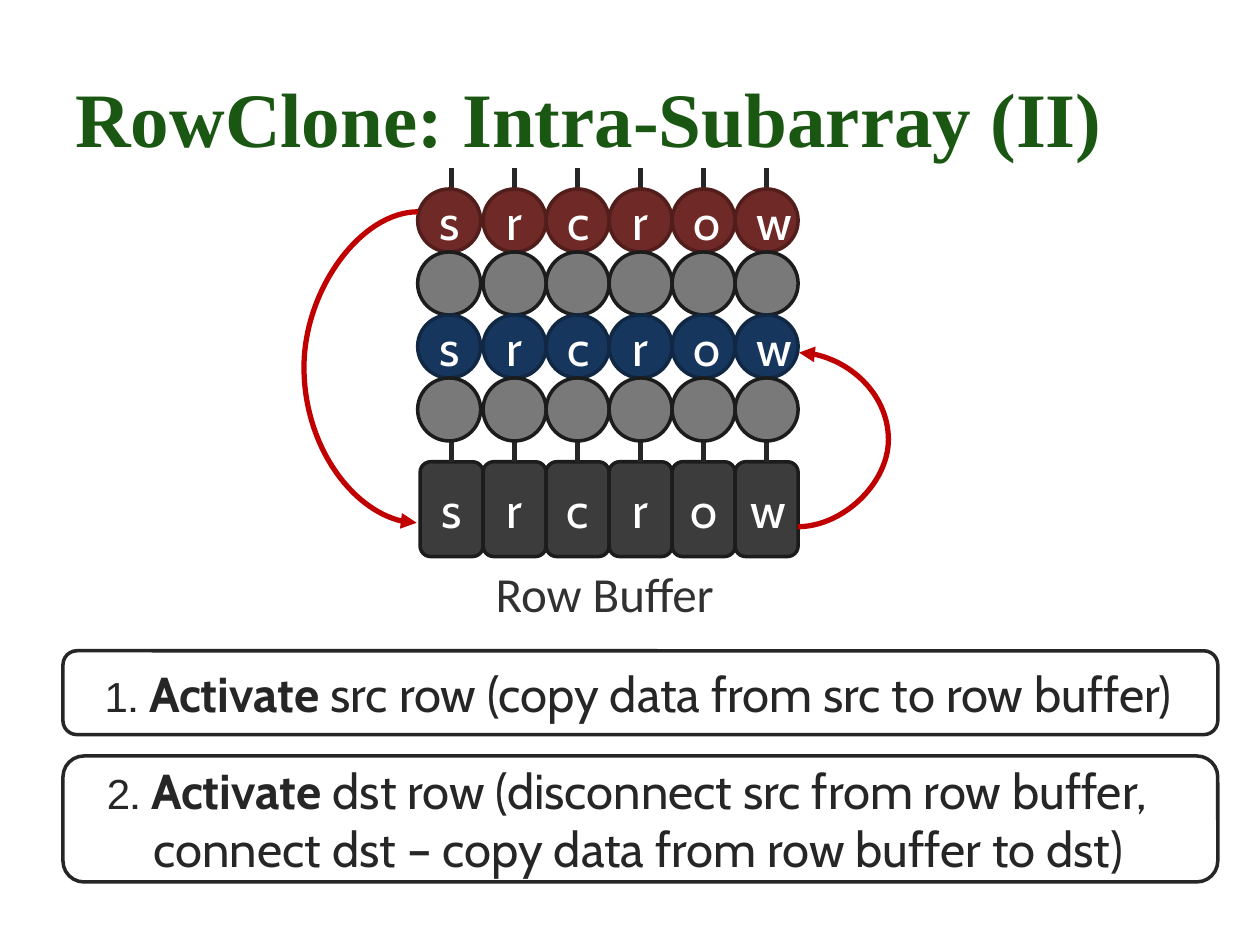
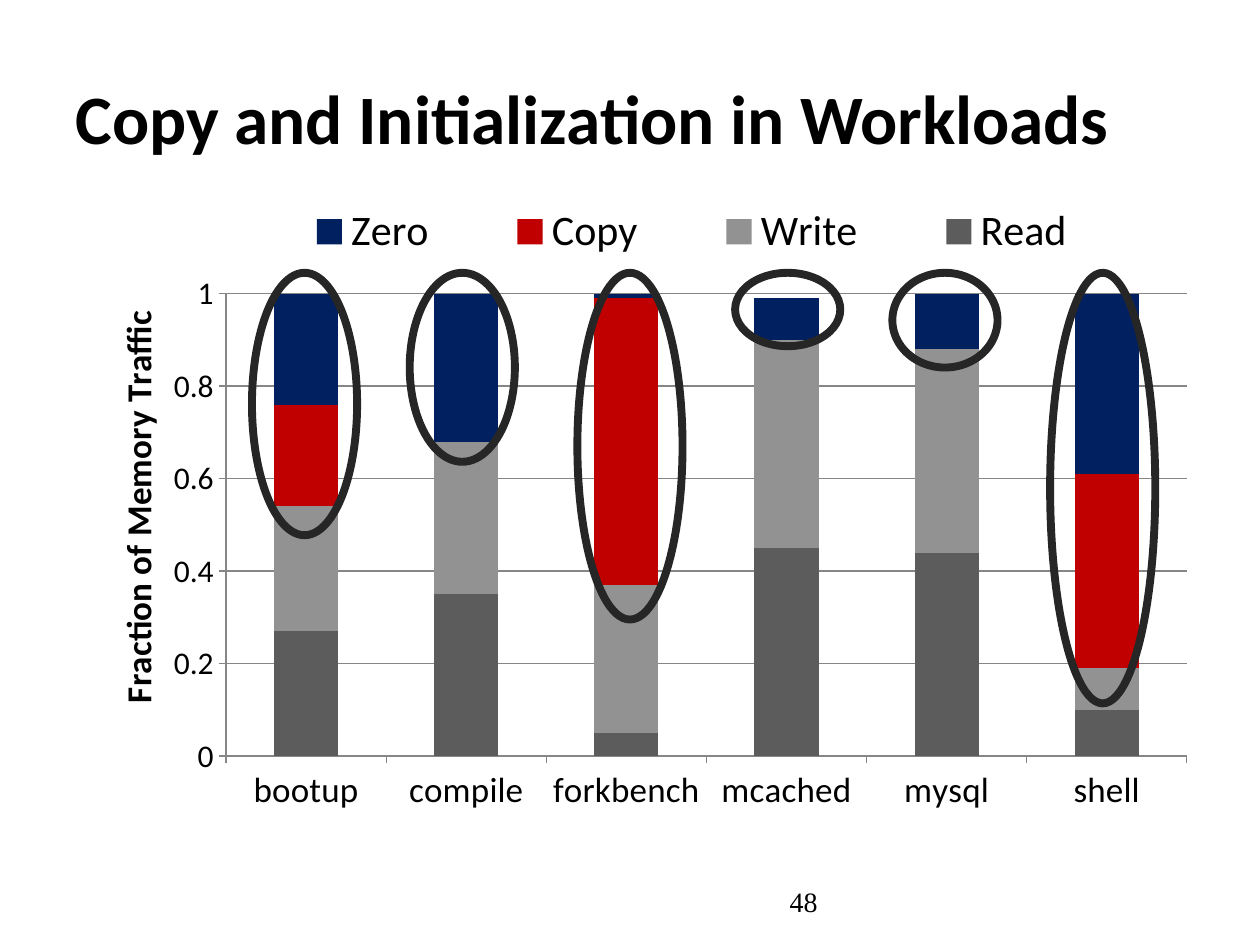
from dataclasses import dataclass

from lxml.etree import SubElement
from pptx import Presentation
from pptx.chart.data import CategoryChartData
from pptx.dml.color import RGBColor
from pptx.enum.chart import XL_CHART_TYPE, XL_LEGEND_POSITION, XL_TICK_MARK
from pptx.enum.shapes import MSO_CONNECTOR, MSO_SHAPE
from pptx.enum.text import MSO_ANCHOR, PP_ALIGN
from pptx.oxml import parse_xml
from pptx.oxml.ns import nsdecls, qn
from pptx.util import Cm, Pt


@dataclass(frozen=True)
class Theme:
    green: str = "1A5712"
    black: str = "000000"
    white: str = "FFFFFF"
    ink: str = "262626"
    label: str = "313131"
    outline: str = "1C1C1C"
    buffer: str = "3C3C3C"
    arrow: str = "C00000"
    grid: str = "868686"
    serif: str = "Times New Roman"
    sans: str = "Calibri"
    cabin: str = "Cabin"
    arial: str = "Arial"
    body: float = 28
    step_number: float = 24
    page_number: float = 16
    legend: float = 24
    axis: float = 20
    ticks: float = 18


THEME = Theme()

# Slide 1: title, memory cells, steps
CLONE_TITLE = ("RowClone: Intra-Subarray (II)", THEME.serif, 44, THEME.green)
LETTERS = "srcrow"
CELL_ROWS = [  # text, fill, line
    (LETTERS, "6F2926", "521E1C"),
    ("", "797979", THEME.outline),
    (LETTERS, "17365D", "112845"),
    ("", "797979", THEME.outline),
]
COPY_ARROWS = [  # start, end, sideways reach
    ((8.43, 4.27), (8.4, 10.54), 2.3),
    ((16.08, 10.62), (16.11, 7.11), 1.83),
]
STEPS = [  # number, text, top, height, hanging indent
    ("1", "src row (copy data from src to row buffer)", 13.12, 1.69, 0),
    ("2", "dst row (disconnect src from row buffer, connect dst – copy data "
          "from row buffer to dst)", 15.24, 2.54, 0.95),
]

# Slide 2: title, chart, marked bars
WORKLOAD_TITLE = ("Copy and Initialization in Workloads", THEME.sans, 39.6, THEME.black)
WORKLOADS = ["bootup", "compile", "forkbench", "mcached", "mysql", "shell"]
TRAFFIC = [
    ("Read", "5C5C5C", (0.27, 0.35, 0.05, 0.45, 0.44, 0.1)),
    ("Write", "929292", (0.27, 0.33, 0.32, 0.45, 0.44, 0.09)),
    ("Copy", "C00000", (0.22, 0, 0.62, 0, 0, 0.42)),
    ("Zero", "002060", (0.24, 0.32, 0.01, 0.09, 0.12, 0.39)),
]
BAR_MARKS = [  # left, height
    (5.08, 5.29), (8.26, 3.81), (11.64, 6.99),
    (14.82, 1.48), (17.99, 1.91), (21.17, 8.68),
]


def apply(target, values):
    for name, value in values.items():
        setattr(target, name, value)


def set_font(font, name, size, color, bold=False):
    apply(font, {"name": name, "size": Pt(size), "bold": bold})
    font.color.rgb = RGBColor.from_string(color)


def set_line(line, color, width):
    line.color.rgb = RGBColor.from_string(color)
    line.width = Pt(width)


def add_run(paragraph, text, *font):
    run = paragraph.add_run()
    run.text = text
    set_font(run.font, *font)


def add_text(slide, box, text, *font, align=PP_ALIGN.LEFT, wrap=True):
    frame = slide.shapes.add_textbox(*map(Cm, box)).text_frame
    apply(frame, {"word_wrap": wrap, "vertical_anchor": MSO_ANCHOR.MIDDLE})
    frame.paragraphs[0].alignment = align
    add_run(frame.paragraphs[0], text, *font)


def add_title(slide, title):
    add_text(slide, (1.27, 0.76, 22.86, 3.18), *title, True)


def add_box(slide, kind, box, fill, line, width=2):
    shape = slide.shapes.add_shape(kind, *map(Cm, box))
    shape.shadow.inherit = False
    if fill:
        shape.fill.solid()
        shape.fill.fore_color.rgb = RGBColor.from_string(fill)
    else:
        shape.fill.background()
    set_line(shape.line, line, width)
    return shape


def add_cell(slide, kind, box, letter, fill, line):
    shape = add_box(slide, kind, box, fill, line)
    if letter:
        paragraph = shape.text_frame.paragraphs[0]
        paragraph.alignment = PP_ALIGN.CENTER
        add_run(paragraph, letter, THEME.cabin, THEME.body, THEME.white)
    return shape


def add_line(slide, kind, start, end, color):
    connector = slide.shapes.add_connector(kind, *map(Cm, start + end))
    set_line(connector.line, color, 3)
    SubElement(connector._element.spPr, qn("a:effectLst"))
    return connector


def add_copy_arrow(slide, start, end, reach):
    """Curve that swings out sideways by reach and returns to nearly the same x."""
    arrow = add_line(slide, MSO_CONNECTOR.CURVE, start, end, THEME.arrow)
    SubElement(arrow.line._get_or_add_ln(), qn("a:tailEnd"), type="triangle")
    geometry = arrow._element.spPr.find(qn("a:prstGeom"))
    guides = geometry.find(qn("a:avLst"))
    if guides is None:
        guides = SubElement(geometry, qn("a:avLst"))
    bend = round(reach / abs(end[0] - start[0]) * 100000)
    SubElement(guides, qn("a:gd"), name="adj1", fmla=f"val {bend}")


def add_memory_array(slide):
    pitch, left, top, buffer_top = 1.27, 8.47, 3.81, 9.31
    for column, letter in enumerate(LETTERS):
        x = left + column * pitch
        buffer = add_cell(slide, MSO_SHAPE.ROUNDED_RECTANGLE,
                          (x, buffer_top, pitch, 1.91), letter, THEME.buffer, THEME.outline)
        middle = x + pitch / 2
        bitline = add_line(slide, MSO_CONNECTOR.STRAIGHT,
                           (middle, buffer_top), (middle, 3.39), THEME.ink)
        bitline.begin_connect(buffer, 0)
    for row, (letters, fill, line) in enumerate(CELL_ROWS):
        for column in range(len(LETTERS)):
            x = left + column * pitch - (0 if column else 0.05)
            add_cell(slide, MSO_SHAPE.OVAL, (x, top + row * pitch, pitch, pitch),
                     letters[column:column + 1], fill, line)


def add_step(slide, number, text, top, height, indent):
    shape = add_box(slide, MSO_SHAPE.ROUNDED_RECTANGLE,
                    (1.27, top, 23.28, height), THEME.white, THEME.ink)
    shape.text_frame.margin_left = Cm(0.76)
    paragraph = shape.text_frame.paragraphs[0]
    paragraph.alignment = PP_ALIGN.LEFT
    if indent:
        properties = paragraph._p.get_or_add_pPr()
        properties.set("marL", str(Cm(indent)))
        properties.set("indent", str(-Cm(indent)))
    add_run(paragraph, number, THEME.arial, THEME.step_number, THEME.ink)
    for part, bold in ((". ", False), ("Activate ", True), (text, False)):
        add_run(paragraph, part, THEME.cabin, THEME.body, THEME.ink, bold)


def place(element, inner=False, **fractions):
    """Give a chart part a manual layout, in fractions of the chart."""
    old = element.find(qn("c:layout"))
    if old is not None:
        element.remove(old)
    target = '<c:layoutTarget val="inner"/>' if inner else ""
    modes = "".join(f'<c:{key}Mode val="edge"/>' for key in "xy")
    sizes = "".join(f'<c:{key} val="{value}"/>' for key, value in fractions.items())
    layout = parse_xml(f'<c:layout {nsdecls("c")}><c:manualLayout>{target}{modes}{sizes}'
                       "</c:manualLayout></c:layout>")
    overlay = element.find(qn("c:overlay"))
    element.insert(0 if overlay is None else element.index(overlay), layout)


def add_traffic_chart(slide):
    data = CategoryChartData()
    data.categories = WORKLOADS
    for name, _, values in TRAFFIC:
        data.add_series(name, values)
    chart = slide.shapes.add_chart(XL_CHART_TYPE.COLUMN_STACKED,
                                   *map(Cm, (1.7, 3.61, 22.68, 13.28)), data).chart
    apply(chart, {"has_title": False, "has_legend": True})
    set_font(chart.font, THEME.sans, 10, THEME.black)
    plot = chart.plots[0]
    apply(plot, {"gap_width": 150, "overlap": 100, "vary_by_categories": False})
    for series, (_, color, _) in zip(plot.series, TRAFFIC):
        series.format.fill.solid()
        series.format.fill.fore_color.rgb = RGBColor.from_string(color)

    apply(chart.legend, {"position": XL_LEGEND_POSITION.RIGHT, "include_in_layout": False})
    set_font(chart.legend.font, THEME.sans, THEME.legend, THEME.black)

    values = chart.value_axis
    apply(values, {"minimum_scale": 0, "maximum_scale": 1, "major_unit": 0.2,
                   "has_major_gridlines": True, "has_title": True})
    set_line(values.major_gridlines.format.line, THEME.grid, 0.75)
    for axis, size in ((chart.category_axis, THEME.axis), (values, THEME.ticks)):
        axis.major_tick_mark = XL_TICK_MARK.OUTSIDE
        set_line(axis.format.line, THEME.grid, 0.75)
        set_font(axis.tick_labels.font, THEME.sans, size, THEME.black)
    apply(values.tick_labels, {"number_format": "General", "number_format_is_linked": False})

    frame = values.axis_title.text_frame
    add_run(frame.paragraphs[0], "Fraction of Memory Traffic",
            THEME.sans, THEME.axis, THEME.black, True)
    apply_rotation = frame._txBody.find(qn("a:bodyPr")).set
    apply_rotation("rot", "-5400000")
    apply_rotation("vert", "horz")

    place(chart._chartSpace.chart.plotArea, inner=True, x=0.126, y=0.174, w=0.854, h=0.702)
    place(chart.legend._element, x=0.14, y=0.03, w=0.8, h=0.1)
    place(values.axis_title._element, x=0.02, y=0.19)


def build_clone_slide(slide):
    add_title(slide, CLONE_TITLE)
    add_memory_array(slide)
    for arrow in COPY_ARROWS:
        add_copy_arrow(slide, *arrow)
    add_text(slide, (9.74, 11.23, 5.11, 1.45), "Row Buffer",
             THEME.sans, THEME.body, THEME.label, wrap=False)
    for step in STEPS:
        add_step(slide, *step)


def build_workload_slide(slide):
    add_title(slide, WORKLOAD_TITLE)
    add_text(slide, (8.68, 17.65, 8.05, 1.02), "48",
             THEME.serif, THEME.page_number, THEME.black, align=PP_ALIGN.RIGHT)
    add_traffic_chart(slide)
    for left, height in BAR_MARKS:
        add_box(slide, MSO_SHAPE.OVAL, (left, 5.5, 2.12, height), None, THEME.ink, 4.5)


def main():
    presentation = Presentation()
    apply(presentation, {"slide_width": Cm(25.4), "slide_height": Cm(19.05)})
    for build in (build_clone_slide, build_workload_slide):
        build(presentation.slides.add_slide(presentation.slide_layouts[6]))
    presentation.save("out.pptx")


if __name__ == "__main__":
    main()
